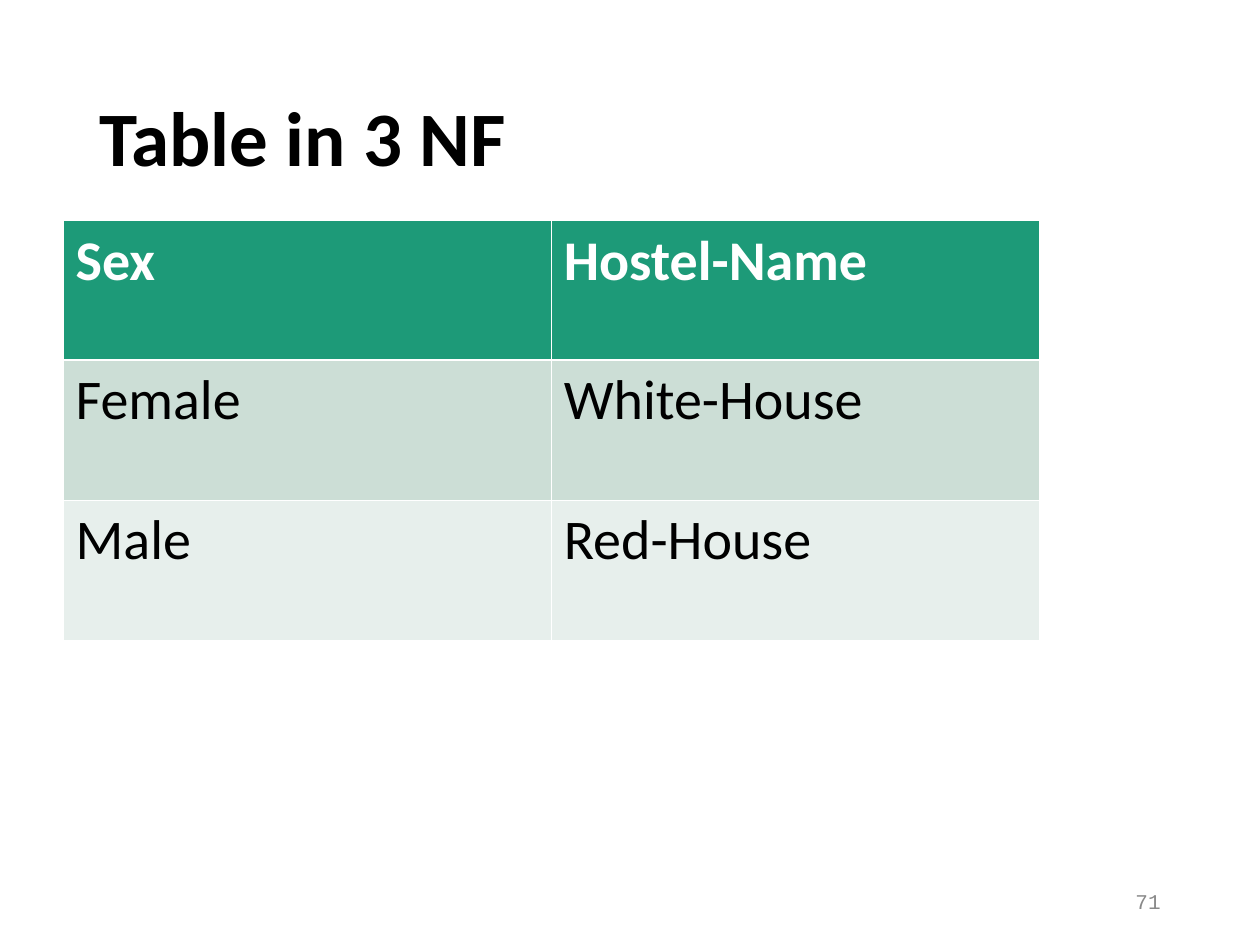
from lxml import etree
from pptx import Presentation
from pptx.dml.color import RGBColor
from pptx.enum.text import MSO_ANCHOR, PP_ALIGN
from pptx.oxml.ns import qn
from pptx.util import Inches, Pt

MIDDLE = MSO_ANCHOR.MIDDLE
LEFT, RIGHT = PP_ALIGN.LEFT, PP_ALIGN.RIGHT

BLACK = RGBColor(0x00, 0x00, 0x00)
WHITE = RGBColor(0xFF, 0xFF, 0xFF)
GREY = RGBColor(0x89, 0x89, 0x89)
GREEN = RGBColor(0x1D, 0x9A, 0x78)
SAGE = RGBColor(0xCC, 0xDE, 0xD6)
MIST = RGBColor(0xE7, 0xEF, 0xEC)

TITLE_FONT = {"name": "Calibri", "size": Pt(44), "bold": True}
HEADER_FONT = {"name": "Calibri", "size": Pt(32), "bold": True}
BODY_FONT = {"name": "Calibri", "size": Pt(32), "bold": False}
NUMBER_FONT = {"name": "Courier New", "size": Pt(12), "bold": False}

THIN, THICK = Pt(0.45), Pt(1.47)
HOSTELS = [
    ("Sex", "Hostel-Name"),
    ("Female", "White-House"),
    ("Male", "Red-House"),
]


def write(para, text, font, color):
    span = para.add_run()
    span.text = text
    for name, value in font.items():
        setattr(span.font, name, value)
    span.font.color.rgb = color


def add_text(page, box, text, font, color, align=LEFT, line_spacing=1.0):
    frame = page.shapes.add_textbox(*map(Inches, box)).text_frame
    frame.word_wrap = True
    frame.vertical_anchor = MIDDLE
    para = frame.paragraphs[0]
    para.alignment = align
    para.line_spacing = line_spacing
    write(para, text, font, color)


def set_borders(cell, top, bottom):
    """Draw white borders: thin at the sides, given widths above and below."""
    properties = cell._tc.get_or_add_tcPr()
    widths = {"a:lnL": THIN, "a:lnR": THIN, "a:lnT": top, "a:lnB": bottom}
    for tag, width in widths.items():
        line = etree.SubElement(properties, qn(tag), w=str(int(width)))
        fill = etree.SubElement(line, qn("a:solidFill"))
        etree.SubElement(fill, qn("a:srgbClr"), val=str(WHITE))


def add_hostel_table(page, box, rows):
    frame = page.shapes.add_table(len(rows), len(rows[0]), *map(Inches, box))
    table = frame.table
    for r, values in enumerate(rows):
        is_header = r == 0
        band = GREEN if is_header else (MIST, SAGE)[r % 2]
        font, color = (HEADER_FONT, WHITE) if is_header else (BODY_FONT, BLACK)
        for c, value in enumerate(values):
            cell = table.cell(r, c)
            set_borders(cell, THICK if r == 1 else THIN, THICK if is_header else THIN)
            cell.fill.solid()
            cell.fill.fore_color.rgb = band
            write(cell.text_frame.paragraphs[0], value, font, color)


def main():
    deck = Presentation()
    deck.slide_width, deck.slide_height = Inches(10), Inches(7.5)
    page = deck.slides.add_slide(deck.slide_layouts[6])
    add_text(page, (0.69, 0.4, 8.63, 1.45), "Table in 3 NF", TITLE_FONT, BLACK,
             line_spacing=0.9)
    add_hostel_table(page, (0.5, 1.75, 7.75, 3.33), HOSTELS)
    add_text(page, (7.06, 6.95, 2.25, 0.4), "71", NUMBER_FONT, GREY, align=RIGHT)
    deck.save("out.pptx")


if __name__ == "__main__":
    main()
